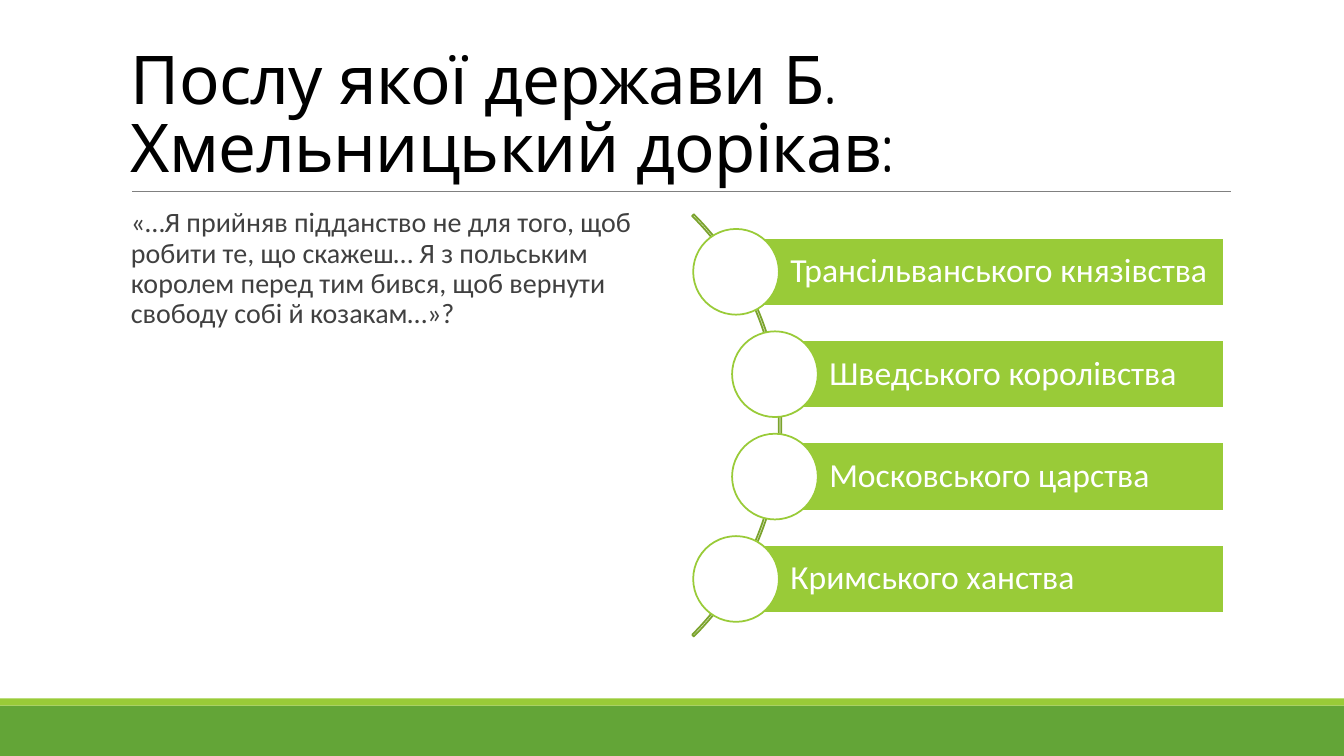
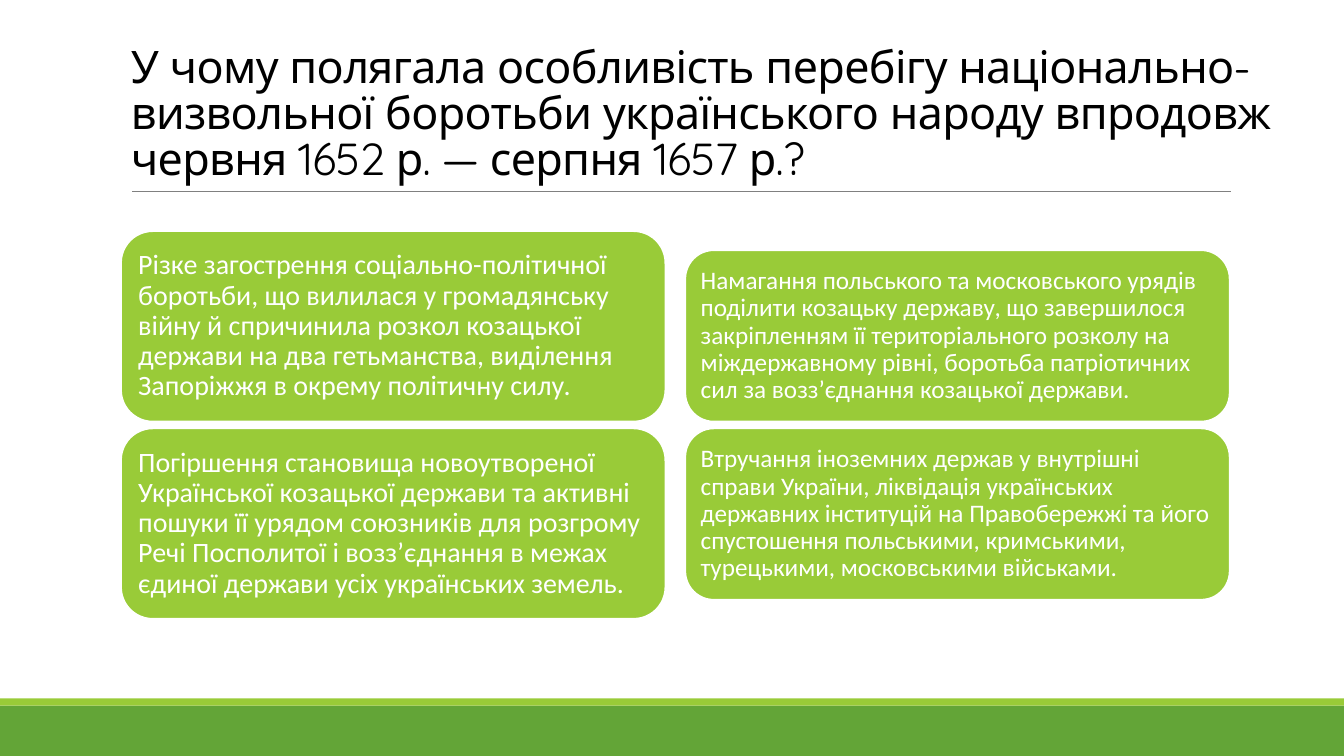
from lxml import etree
from pptx import Presentation
from pptx.dml.color import RGBColor
from pptx.enum.shapes import MSO_CONNECTOR, MSO_SHAPE
from pptx.enum.text import MSO_ANCHOR, PP_ALIGN
from pptx.oxml.ns import qn
from pptx.util import Cm, Pt

RECT, ROUNDED = MSO_SHAPE.RECTANGLE, MSO_SHAPE.ROUNDED_RECTANGLE
OVAL, ARC = MSO_SHAPE.OVAL, MSO_SHAPE.BLOCK_ARC
STRAIGHT = MSO_CONNECTOR.STRAIGHT
TOP, MIDDLE, BOTTOM = MSO_ANCHOR.TOP, MSO_ANCHOR.MIDDLE, MSO_ANCHOR.BOTTOM
LEFT = PP_ALIGN.LEFT

DARK_GREEN = RGBColor(0x63, 0xA5, 0x37)
GREEN = RGBColor(0x99, 0xCB, 0x38)
ARC_GREEN = RGBColor(0x7B, 0xA3, 0x2D)
GRAY = RGBColor(0x80, 0x80, 0x80)
TEXT_GRAY = RGBColor(0x40, 0x40, 0x40)
BLACK = RGBColor(0, 0, 0)
WHITE = RGBColor(0xFF, 0xFF, 0xFF)
TITLE_FONT, BODY_FONT = "Quicksand", "Calibri"
PAGE_W, PAGE_H = 33.87, 19.05
MARGIN, COLUMN_W = 3.05, 13.72

# Content
QUESTION = "Послу якої держави Б. Хмельницький дорікав:"
QUOTE = ("«…Я прийняв підданство не для того, щоб робити те, що скажеш… "
         "Я з польським королем перед тим бився, щоб вернути свободу собі й козакам…»?")
# Answer and the horizontal centre of its circle
ANSWERS = [
    ("Трансільванського князівства", 18.55),
    ("Шведського королівства", 19.53),
    ("Московського царства", 19.53),
    ("Кримського ханства", 18.55),
]
FEATURES_QUESTION = ("У чому полягала особливість перебігу національно-визвольної боротьби "
                     "українського народу впродовж червня 1652 р. — серпня 1657 р.?")
# Card columns: left, card height, text size, inset, texts
CARD_COLUMNS = [
    (MARGIN, 4.8, 20, 0.2, [
        "Різке загострення соціально-політичної боротьби, що вилилася у громадянську "
        "війну й спричинила розкол козацької держави на два гетьманства, виділення "
        "Запоріжжя в окрему політичну силу.",
        "Погіршення становища новоутвореної Української козацької держави та активні "
        "пошуки її урядом союзників для розгрому Речі Посполитої і возз’єднання в межах "
        "єдиної держави усіх українських земель.",
    ]),
    (17.27, 4.32, 18, 0.18, [
        "Намагання польського та московського урядів поділити козацьку державу, що "
        "завершилося закріпленням її територіального розколу на міждержавному рівні, "
        "боротьба патріотичних сил за возз’єднання козацької держави.",
        "Втручання іноземних держав у внутрішні справи України, ліквідація українських "
        "державних інституцій на Правобережжі та його спустошення польськими, "
        "кримськими, турецькими, московськими військами.",
    ]),
]


def add_box(page, kind, left, top, width, height, fill=None, line=None):
    box = page.shapes.add_shape(kind, Cm(left), Cm(top), Cm(width), Cm(height))
    box.shadow.inherit = False
    if fill is None:
        box.fill.background()
    else:
        box.fill.solid()
        box.fill.fore_color.rgb = fill
    if line is None:
        box.line.fill.background()
    else:
        box.line.color.rgb = line
        box.line.width = Pt(1.25)
    return box


def set_text(box, text, size, color, insets, anchor=MIDDLE, font=BODY_FONT, spacing=0.9):
    frame = box.text_frame
    frame.word_wrap = True
    frame.vertical_anchor = anchor
    (frame.margin_left, frame.margin_top,
     frame.margin_right, frame.margin_bottom) = [Cm(inset) for inset in insets]
    para = frame.paragraphs[0]
    para.alignment = LEFT
    para.line_spacing = spacing
    para.font.name = font
    para.font.size = Pt(size)
    para.font.color.rgb = color
    span = para.add_run()
    span.text = text
    return span


def add_text(page, left, top, width, height, *args, **options):
    box = page.shapes.add_textbox(Cm(left), Cm(top), Cm(width), Cm(height))
    return set_text(box, *args, **options)


def add_page(deck, title, size, top, width):
    page = deck.slides.add_slide(deck.slide_layouts[6])
    # Footer bands and title rule
    add_box(page, RECT, 0, 17.78, PAGE_W, 1.27, DARK_GREEN)
    add_box(page, RECT, 0, 17.6, PAGE_W, 0.18, GREEN)
    rule = page.shapes.add_connector(STRAIGHT, Cm(3.33), Cm(4.83), Cm(31.01), Cm(4.83))
    rule.line.color.rgb = GRAY
    rule.line.width = Pt(0.5)
    etree.SubElement(rule._element.spPr, qn("a:effectLst"))
    # Title
    span = add_text(page, MARGIN, top, width, 4.04, title, size, BLACK,
                    (0.25, 0.13, 0.25, 0.13), anchor=BOTTOM, font=TITLE_FONT, spacing=0.85)
    span._r.get_or_add_rPr().set("spc", "-50")
    return page


def add_answers(page):
    middle, radius = 10.72, 7.52
    pitch, bar_h, circle, right = 2.58, 1.72, 2.16, 30.84
    arc = add_box(page, ARC, 12.17 - radius, middle - radius, 2 * radius, 2 * radius,
                  line=ARC_GREEN)
    for index, value in enumerate((189, 27, 0.004)):
        arc.adjustments[index] = value
    first = middle - pitch * (len(ANSWERS) - 1) / 2
    for row, (answer, center) in enumerate(ANSWERS):
        y = first + row * pitch
        bar = add_box(page, RECT, center, y - bar_h / 2, right - center, bar_h, GREEN, WHITE)
        set_text(bar, answer, 24, WHITE, (1.37, 0.18, 0.18, 0.18))
        add_box(page, OVAL, center - circle / 2, y - circle / 2, circle, circle, WHITE, GREEN)


def add_cards(page):
    middle, gap = 10.71, 0.17
    for left, height, size, inset, texts in CARD_COLUMNS:
        first = middle - height - gap / 2
        for row, text in enumerate(texts):
            card = add_box(page, ROUNDED, left, first + row * (height + gap),
                           COLUMN_W, height, GREEN, WHITE)
            set_text(card, text, size, WHITE, [inset] * 4)


def main():
    deck = Presentation()
    deck.slide_width, deck.slide_height = Cm(PAGE_W), Cm(PAGE_H)

    # Quote and possible answers
    page = add_page(deck, QUESTION, 48, 0.79, 27.94)
    add_text(page, MARGIN, 5.13, COLUMN_W, 11.18, QUOTE, 20, TEXT_GRAY,
             (0.25, 0.13, 0, 0.13), anchor=TOP)
    add_answers(page)

    # Features of the struggle
    page = add_page(deck, FEATURES_QUESTION, 32, 0.74, 29.26)
    add_cards(page)

    deck.save("out.pptx")


if __name__ == "__main__":
    main()
